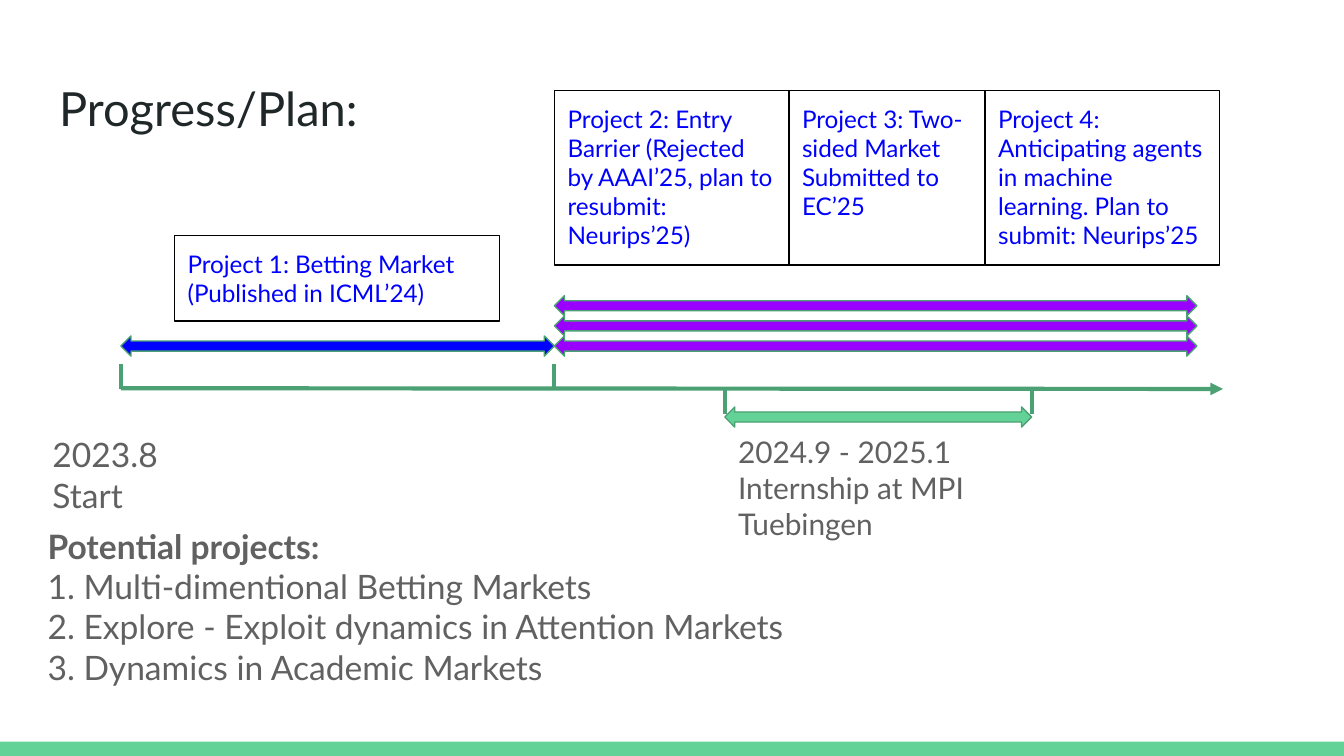
"""Build the progress and plan timeline slide."""
import pptx
import pptx.dml.color
import pptx.enum.shapes
import pptx.enum.text
import pptx.oxml
import pptx.oxml.ns
import pptx.util

Pt = pptx.util.Pt
RGBColor = pptx.dml.color.RGBColor
SHAPES = pptx.enum.shapes.MSO_SHAPE
INK = RGBColor(0x20, 0x27, 0x29)
GREY = RGBColor(0x61, 0x61, 0x61)
BLUE = RGBColor(0x00, 0x00, 0xFF)
PURPLE = RGBColor(0x99, 0x00, 0xFF)
MINT = RGBColor(0x63, 0xD2, 0x97)
GREEN = RGBColor(0x4B, 0xA1, 0x73)
BLACK = RGBColor(0x00, 0x00, 0x00)

PAGE_WIDTH, PAGE_HEIGHT = 720, 405
BAR_HEIGHT = 7.6
START, PHASE, END = 64.8, 297, 655.2
STAY_START, STAY_END = 388.3, 552.7
AXIS, TICK = 208.4, 13.2
ARROW_HEIGHT = 10.8
PHASE_TOP, PHASE_WIDTH, PHASE_COUNT = 158.4, 344.2, 3

TITLE = ("Progress/Plan:", (24.5, 35.3, 671, 45.4))
FIRST_PROJECT = (["Project 1: Betting Market (Published in ICML’24)"], (93.4, 126.2, 174.2, 45.8))
PROJECT_ROW = (PHASE, 48.5, 93.4)
PROJECTS = [
    (["Project 2: Entry Barrier (Rejected by AAAI’25, plan to resubmit: Neurips’25)"], 125.6),
    (["Project 3: Two-sided Market", "Submitted to EC’25"], 105),
    (["Project 4: Anticipating agents in machine learning. Plan to submit: Neurips’25"], 125.6),
]
NOTES = [
    (["2023.8", "Start"], (21, 225.4, 98.6, 42), 18, False),
    (["2024.9 - 2025.1", "Internship at MPI Tuebingen"], (STAY_START, 225.4, 182, 42), 16, False),
    (["Potential projects:", "1. Multi-dimentional Betting Markets",
      "2. Explore - Exploit dynamics in Attention Markets",
      "3. Dynamics in Academic Markets"], (18.4, 274.3, 692, 101.5), 18, True),
]
FRAME_FORMAT = {
    "word_wrap": True,
    "auto_size": pptx.enum.text.MSO_AUTO_SIZE.NONE,
    "vertical_anchor": pptx.enum.text.MSO_ANCHOR.TOP,
    **{f"margin_{side}": Pt(7.2) for side in ("left", "top", "right", "bottom")},
}


def write(shape, lines, size, color, heading=False):
    frame = shape.text_frame
    for name, value in FRAME_FORMAT.items():
        setattr(frame, name, value)
    for index, line in enumerate(lines):
        para = frame.paragraphs[0] if index == 0 else frame.add_paragraph()
        para.alignment = pptx.enum.text.PP_ALIGN.LEFT
        span = para.add_run()
        span.text = line
        font_format = {"name": "Lato", "size": Pt(size), "bold": heading and index == 0}
        for name, value in font_format.items():
            setattr(span.font, name, value)
        span.font.color.rgb = color


def add_shape(page, kind, place, fill=None, line=None):
    shape = page.shapes.add_shape(kind, *map(Pt, place))
    shape.shadow.inherit = False
    if fill is None:
        shape.fill.background()
    else:
        shape.fill.solid()
        shape.fill.fore_color.rgb = fill
    if line is None:
        shape.line.fill.background()
    else:
        shape.line.color.rgb = line
        shape.line.width = Pt(0.75)
    return shape


def add_span_arrow(page, left, top, width, fill):
    add_shape(page, SHAPES.LEFT_RIGHT_ARROW, (left, top, width, ARROW_HEIGHT), fill, GREEN)


def add_project(page, lines, place):
    write(add_shape(page, SHAPES.RECTANGLE, place, line=BLACK), lines, 13, BLUE)


def add_line(page, x1, y1, x2, y2, arrow=False):
    line = page.shapes.add_connector(
        pptx.enum.shapes.MSO_CONNECTOR.STRAIGHT, *map(Pt, (x1, y1, x2, y2)))
    line.line.color.rgb = GREEN
    line.line.width = Pt(2.25)
    if arrow:
        head = pptx.oxml.parse_xml(f'<a:tailEnd {pptx.oxml.ns.nsdecls("a")} type="triangle"/>')
        line.line._get_or_add_ln().append(head)
    effects = pptx.oxml.parse_xml(f'<a:effectLst {pptx.oxml.ns.nsdecls("a")}/>')
    line._element.spPr.append(effects)


def main():
    deck = pptx.Presentation()
    deck.slide_width, deck.slide_height = Pt(PAGE_WIDTH), Pt(PAGE_HEIGHT)
    page = deck.slides.add_slide(deck.slide_layouts[5])

    heading, place = TITLE
    title = page.shapes.title
    for name, value in zip(("left", "top", "width", "height"), place):
        setattr(title, name, Pt(value))
    write(title, [heading], 25.2, INK)
    add_shape(page, SHAPES.RECTANGLE,
              (0, PAGE_HEIGHT - BAR_HEIGHT, PAGE_WIDTH, BAR_HEIGHT), MINT)

    add_line(page, START, AXIS - 0.4, END, AXIS, arrow=True)
    for x in (START, PHASE):
        add_line(page, x, AXIS - TICK, x, AXIS)
    for x in (STAY_START, STAY_END):
        add_line(page, x, AXIS, x, AXIS + TICK)

    phase_bottom = PHASE_TOP + (PHASE_COUNT - 1) * ARROW_HEIGHT
    add_span_arrow(page, START, phase_bottom, PHASE - START, BLUE)
    for index in range(PHASE_COUNT):
        add_span_arrow(page, PHASE, PHASE_TOP + index * ARROW_HEIGHT, PHASE_WIDTH, PURPLE)
    add_span_arrow(page, STAY_START, 218, STAY_END - STAY_START, MINT)

    add_project(page, *FIRST_PROJECT)
    left, top, height = PROJECT_ROW
    for lines, width in PROJECTS:
        add_project(page, lines, (left, top, width, height))
        left += width

    for lines, place, size, has_heading in NOTES:
        write(page.shapes.add_textbox(*map(Pt, place)), lines, size, GREY, has_heading)
    deck.save("out.pptx")


if __name__ == "__main__":
    main()
